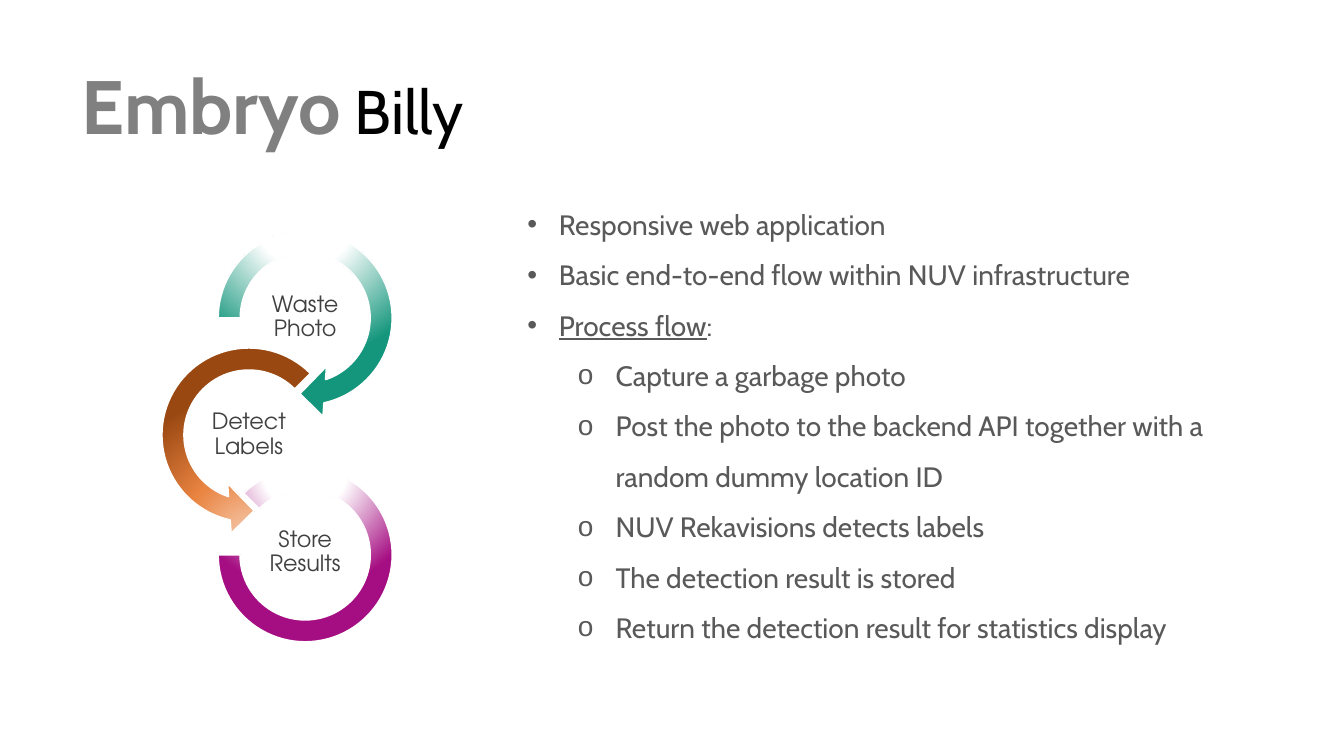
from lxml import etree
from pptx import Presentation
from pptx.dml.color import RGBColor
from pptx.enum.shapes import MSO_SHAPE
from pptx.enum.text import MSO_ANCHOR, MSO_AUTO_SIZE, PP_ALIGN
from pptx.oxml.ns import qn
from pptx.util import Pt

LEFT, CENTER = PP_ALIGN.LEFT, PP_ALIGN.CENTER
TOP, MIDDLE = MSO_ANCHOR.TOP, MSO_ANCHOR.MIDDLE
RIGHT_TURN = MSO_SHAPE.CIRCULAR_ARROW
LEFT_TURN = MSO_SHAPE.LEFT_CIRCULAR_ARROW
ARC = MSO_SHAPE.BLOCK_ARC

COLORS = {
    "white": "FFFFFF", "black": "000000", "gray": "808080",
    "body": "595959", "label": "404040", "teal": "14967C",
    "peach": "F6CBAF", "orange": "E98441", "brown": "9A4812",
    "purple": "A50E82",
}
BODY, LABEL = "Cabin", "TeX Gyre Adventor"


def color(name):
    return RGBColor.from_string(COLORS[name])


def apply(target, values):
    for name, value in values.items():
        setattr(target, name, value)


class Page:
    def __init__(self, deck):
        self.slide = deck.slides.add_slide(deck.slide_layouts[1])

    def place(self, shape, box):
        names = ("left", "top", "width", "height")
        apply(shape, dict(zip(names, map(Pt, box))))

    def frame(self, shape, anchor):
        apply(shape.text_frame, {
            "word_wrap": True, "auto_size": MSO_AUTO_SIZE.NONE,
            "vertical_anchor": anchor})
        return shape.text_frame

    def run(self, para, text, font, size, ink, **style):
        run = para.add_run()
        run.text = text
        apply(run.font, {"name": font, "size": Pt(size), **style})
        run.font.color.rgb = color(ink)

    def title(self, box, parts):
        shape = self.slide.shapes.title
        self.place(shape, box)
        para = self.frame(shape, MIDDLE).paragraphs[0]
        apply(para, {"alignment": LEFT, "line_spacing": 1.5})
        for text, size, ink, bold in parts:
            self.run(para, text, BODY, size, ink, bold=bold)

    def list(self, box, items):
        shape = self.slide.placeholders[1]
        self.place(shape, box)
        frame = self.frame(shape, TOP)
        for i, (level, parts) in enumerate(items):
            para = frame.add_paragraph() if i else frame.paragraphs[0]
            apply(para, {"level": level, "line_spacing": 1.5,
                         "space_before": Pt(0), "alignment": LEFT})
            margin, hang, mark = ((22.5, 22.5, "•"), (63, 27, "o"))[level]
            props = para._p.get_or_add_pPr()
            props.set("marL", str(Pt(margin)))
            props.set("indent", str(-Pt(hang)))
            etree.SubElement(props, qn("a:buChar"), char=mark)
            for text, line in parts:
                self.run(para, text, BODY, 20, "body", underline=line)

    def label(self, box, text):
        shape = self.slide.shapes.add_textbox(*map(Pt, box))
        frame = self.frame(shape, MIDDLE)
        sides = ("left", "top", "right", "bottom")
        apply(frame, {f"margin_{side}": Pt(0.8) for side in sides})
        para = frame.paragraphs[0]
        apply(para, {"alignment": CENTER, "line_spacing": 0.9})
        self.run(para, text, LABEL, 16, "label")

    def ring(self, kind, box, turns, stops, focus):
        shape = self.slide.shapes.add_shape(kind, *map(Pt, box))
        shape.shadow.inherit = False
        for i, turn in enumerate(turns):
            shape.adjustments[i] = turn
        shape.line.color.rgb = color("white")
        shape.line.width = Pt(1.25)
        self.fade(shape, stops, focus)

    def fade(self, shape, stops, focus):
        """Fill with a circular gradient centred on a height in percent."""
        shape.fill.gradient()
        grad = shape._element.spPr.find(qn("a:gradFill"))
        for child in list(grad):
            grad.remove(child)
        row = etree.SubElement(grad, qn("a:gsLst"))
        for spot, ink in stops:
            stop = etree.SubElement(row, qn("a:gs"), pos=str(spot * 1000))
            etree.SubElement(stop, qn("a:srgbClr"), val=COLORS[ink])
        way = etree.SubElement(grad, qn("a:path"), {"path": "circle"})
        sides = {"l": 50, "t": focus, "r": 50, "b": 100 - focus}
        etree.SubElement(way, qn("a:fillToRect"),
                         {k: str(v * 1000) for k, v in sides.items()})


deck = Presentation()
apply(deck, {"slide_width": Pt(960), "slide_height": Pt(540)})
page = Page(deck)

# Title
page.title((51, 19.5, 858, 77), [
    ("Embryo", 54, "gray", True), (" Billy", 44, "black", False)])

# Feature list
steps = ["Capture a garbage photo",
         "Post the photo to the backend API together with a "
         "random dummy location ID",
         "NUV Rekavisions detects labels",
         "The detection result is stored",
         "Return the detection result for statistics display"]
page.list((369.5, 132.5, 540, 375), [
    (0, [("Responsive web application", False)]),
    (0, [("Basic end-to-end flow within NUV infrastructure", False)]),
    (0, [("Process flow", True), (":", False)]),
    *[(1, [(step, False)]) for step in steps]])

# Process rings, top to bottom
teal = [(0, "white"), (35, "white"), (100, "teal")]
brown = [(0, "peach"), (46, "orange"), (100, "brown")]
purple = [(0, "white"), (35, "white"), (100, "purple")]
rings = [
    ("Waste Photo", RIGHT_TURN, 218, 144.7,
     (0.11, 11.423, 45, 108, 0.125), teal, -80),
    ("Detect Labels", LEFT_TURN, 177.8, 144.7,
     (0.11, 11.423, 63, 189, 0.125), brown, 130),
    ("Store Results", ARC, 218, 124.5, (135, 108, 0.127), purple, -80),
]
for i, (text, kind, mid, size, turns, stops, focus) in enumerate(rings):
    y = 227.1 + 83.6 * i
    page.ring(kind, (mid - size / 2, y - size / 2 + (2 if kind == ARC else 0),
                     size, size), turns, stops, focus)
    page.label((mid - 40.3, y - 20.4 + 0.1 * i, 80.6, 40.3), text)

deck.save("out.pptx")
